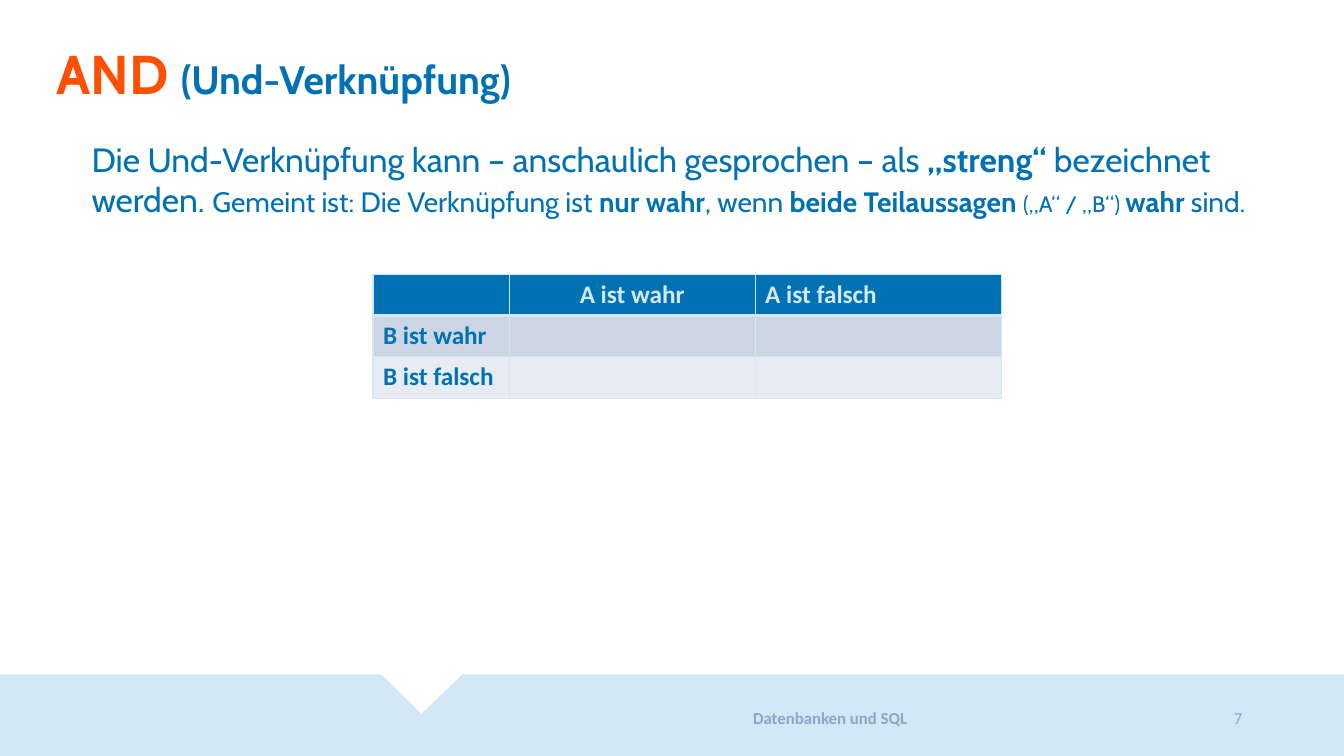
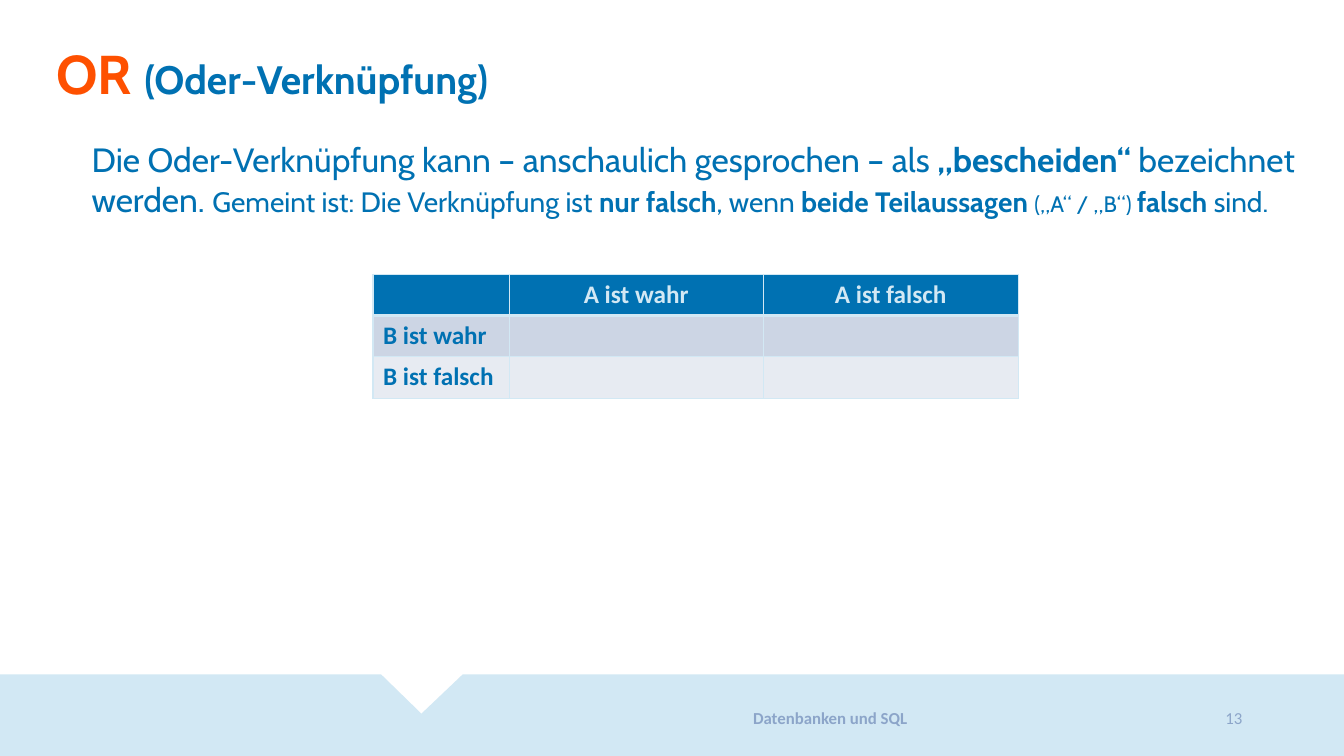
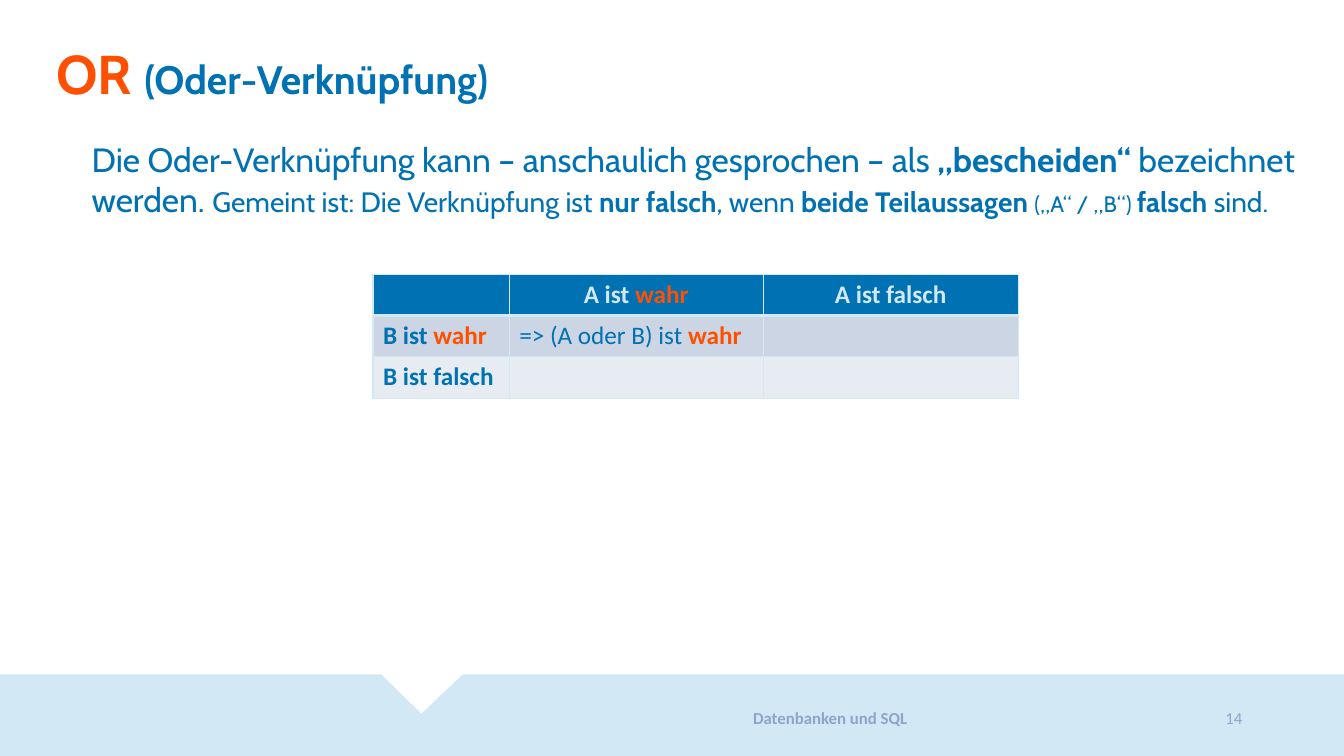
from lxml import etree
from pptx import Presentation
from pptx.dml.color import RGBColor
from pptx.enum import text
from pptx.oxml.ns import qn
from pptx.util import Inches, Pt

BLUE, ORANGE, PALE, MUTED = "0071B2", "FE5000", "D2E8F4", "8CA5C9"
ROW_FILLS = [BLUE, "CCD5E4", "E7EBF2"]
HEADING_FONT, TABLE_FONT = "Cabin", "Calibri"
SLIDE_WIDTH, SLIDE_HEIGHT = 13.33, 7.5
TITLE_BOX = (0.46, 0.42, 10.7, 0.79)
FOOTER_BOX = (5.87, 6.9, 4.73, 0.45)
NUMBER_BOX = (10.6, 6.9, 1.82, 0.45)
CENTER, LEFT, RIGHT = text.PP_ALIGN.CENTER, text.PP_ALIGN.LEFT, text.PP_ALIGN.RIGHT


def color(hex_value):
    return RGBColor.from_string(hex_value)


def add_run(paragraph, words, font_name, size, hex_value, bold=False):
    run = paragraph.add_run()
    run.text = words
    run.font.name = font_name
    run.font.size = Pt(size)
    run.font.bold = bold
    run.font.color.rgb = color(hex_value)


def add_text_box(slide, box, align=LEFT, anchor=text.MSO_ANCHOR.TOP):
    """Add a wrapping text box and return its first paragraph."""
    frame = slide.shapes.add_textbox(*map(Inches, box)).text_frame
    frame.word_wrap = True
    frame.vertical_anchor = anchor
    frame.paragraphs[0].alignment = align
    return frame.paragraphs[0]


def add_footer(slide, number):
    top, notch_left, notch_tip, notch_right = 6.69, 3.78, 4.18, 4.59
    outline = [(notch_left, top), (notch_tip, 7.08), (notch_right, top),
               (SLIDE_WIDTH, top), (SLIDE_WIDTH, SLIDE_HEIGHT), (0, SLIDE_HEIGHT)]
    builder = slide.shapes.build_freeform(0, Inches(top))
    builder.add_line_segments([(Inches(x), Inches(y)) for x, y in outline])
    band = builder.convert_to_shape()
    band.shadow.inherit = False
    band.fill.solid()
    band.fill.fore_color.rgb = color(PALE)
    band.line.fill.background()

    middle = text.MSO_ANCHOR.MIDDLE
    add_run(add_text_box(slide, FOOTER_BOX, CENTER, middle),
            "Datenbanken und SQL", TABLE_FONT, 12, MUTED, True)
    add_run(add_text_box(slide, NUMBER_BOX, RIGHT, middle),
            str(number), TABLE_FONT, 12, MUTED)


def format_title(slide, operator, name):
    title = slide.shapes.title
    title.left, title.top, title.width, title.height = map(Inches, TITLE_BOX)
    title.text_frame.vertical_anchor = text.MSO_ANCHOR.TOP
    title.text_frame.auto_size = text.MSO_AUTO_SIZE.NONE
    paragraph = title.text_frame.paragraphs[0]
    paragraph.alignment = LEFT
    paragraph.line_spacing = 0.9
    add_run(paragraph, f"{operator} ", HEADING_FONT, 39, ORANGE, True)
    add_run(paragraph, f"({name}-Verknüpfung)", HEADING_FONT, 28.3, BLUE, True)


def add_explanation(slide, box, name, attitude, value):
    paragraph = add_text_box(slide, box)
    for words, size, bold in [
        (f"Die {name}-Verknüpfung kann – anschaulich gesprochen – als ", 24, False),
        (f"„{attitude}“ ", 24, True),
        ("bezeichnet werden. ", 24, False),
        ("Gemeint ist: Die Verknüpfung ist ", 20, False),
        (f"nur {value}", 20, True),
        (", wenn ", 20, False),
        ("beide Teilaussagen ", 20, True),
        ("(„A“ / „B“) ", 16, False),
        (f"{value} ", 20, True),
        ("sind.", 20, False),
    ]:
        add_run(paragraph, words, HEADING_FONT, size, BLUE, bold)


def set_borders(cell, top, bottom):
    """Draw pale borders; top and bottom are widths in points."""
    properties = cell._tc.get_or_add_tcPr()
    for side, width in (("L", 1), ("R", 1), ("T", top), ("B", bottom)):
        line = etree.SubElement(properties, qn(f"a:ln{side}"), w=str(Pt(width)))
        fill = etree.SubElement(line, qn("a:solidFill"))
        etree.SubElement(fill, qn("a:srgbClr"), val=PALE)


def add_truth_table(slide, left, top, column_widths, alignments, result):
    """Add the table; a result fills the first case and highlights its values."""
    row_height = 0.41
    table = slide.shapes.add_table(
        3, 3, Inches(left), Inches(top),
        Inches(sum(column_widths)), Inches(3 * row_height)).table
    table.first_row = table.horz_banding = False
    for column, width in zip(table.columns, column_widths):
        column.width = Inches(width)
    for row in table.rows:
        row.height = Inches(row_height)

    contents = [[None, ("A ist ", "wahr"), ("A ist ", "falsch")],
                [("B ist ", "wahr"), result, None],
                [("B ist ", "falsch"), None, None]]
    for row, cells in enumerate(contents):
        for column, content in enumerate(cells):
            cell = table.cell(row, column)
            set_borders(cell, 3 if row == 1 else 1, 3 if row == 0 else 1)
            cell.fill.solid()
            cell.fill.fore_color.rgb = color(ROW_FILLS[row])
            if not content:
                continue
            paragraph = cell.text_frame.paragraphs[0]
            paragraph.alignment = alignments[column] if row == 0 else LEFT
            statement, value = content
            base = PALE if row == 0 else BLUE
            marked = ORANGE if result and value == "wahr" else base
            is_label = row == 0 or column == 0
            add_run(paragraph, statement, TABLE_FONT, 18, base, is_label)
            add_run(paragraph, value, TABLE_FONT, 18, marked, True)


def add_operator_slide(presentation, number, operator, name, attitude, value,
                       text_width, column_widths, last_align=CENTER, result=None):
    slide = presentation.slides.add_slide(presentation.slide_layouts[5])
    add_footer(slide, number)
    add_explanation(slide, (0.81, 1.33, text_width, 1.04), name, attitude, value)
    format_title(slide, operator, name)
    add_truth_table(slide, 3.7, 2.72, column_widths,
                    (LEFT, CENTER, last_align), result)


def main():
    presentation = Presentation()
    presentation.slide_width = Inches(SLIDE_WIDTH)
    presentation.slide_height = Inches(SLIDE_HEIGHT)
    disjunction = ("OR", "Oder", "bescheiden", "falsch")
    wide_columns = (1.35, 2.52, 2.53)
    add_operator_slide(presentation, 7, "AND", "Und", "streng", "wahr",
                       12, (1.35, 2.44, 2.44), last_align=LEFT)
    add_operator_slide(presentation, 13, *disjunction, 12.15, wide_columns)
    add_operator_slide(presentation, 14, *disjunction, 12.25, wide_columns,
                       result=("=> (A oder B) ist ", "wahr"))
    presentation.save("out.pptx")


if __name__ == "__main__":
    main()
